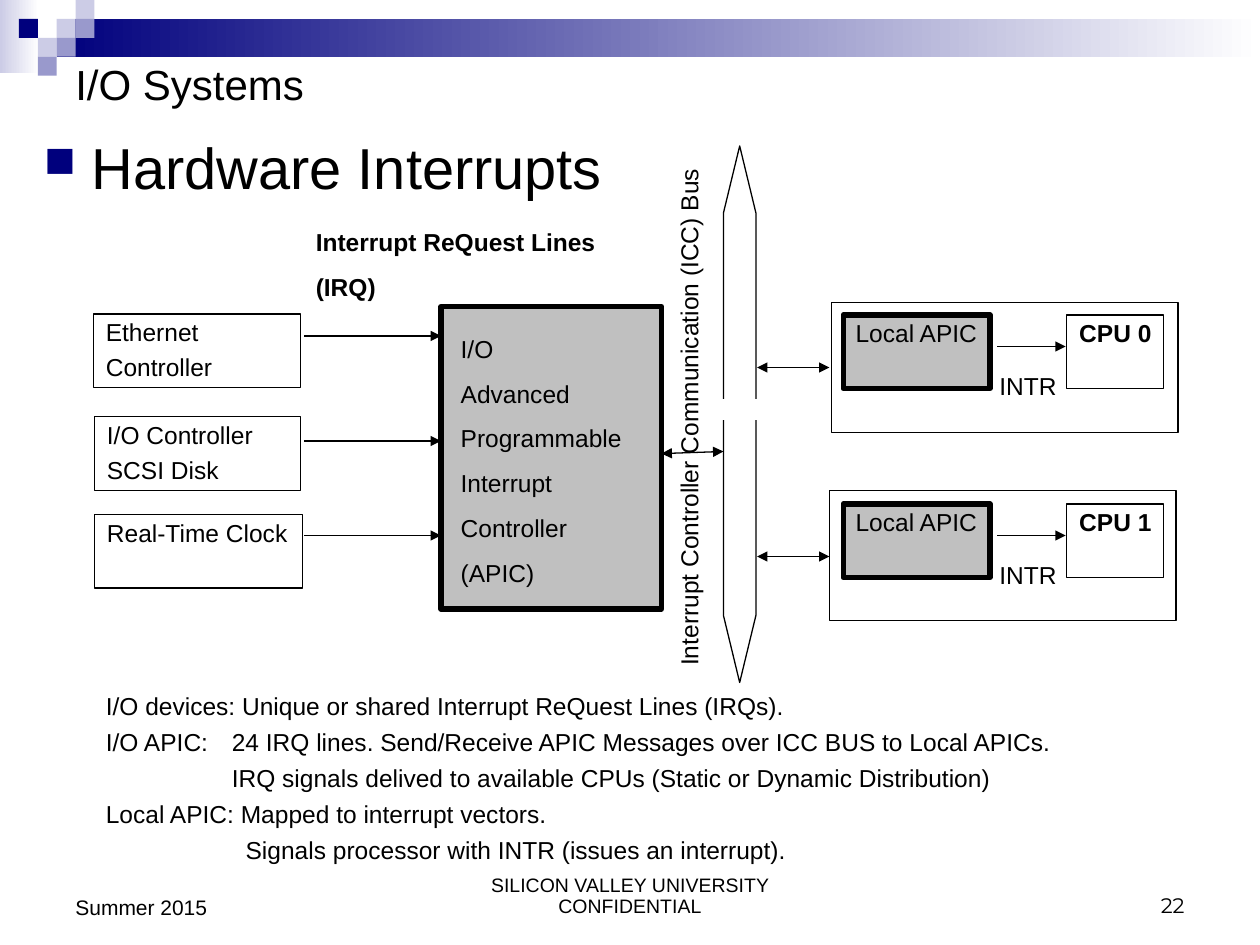
from lxml.etree import SubElement
from pptx import Presentation
from pptx.dml.color import RGBColor as RGB
from pptx.enum.shapes import MSO_CONNECTOR as CONN, MSO_SHAPE as SHAPE
from pptx.enum.text import MSO_ANCHOR as ANCHOR, PP_ALIGN as ALIGN
from pptx.oxml.ns import qn
from pptx.util import Inches, Pt

COLORS = {"ink": "000000", "paper": "FFFFFF", "navy": "00007D",
          "lilac": "CCCCE6", "violet": "9999CC", "gray": "C0C0C0"}
COLUMNS, ROWS = 120, 90
CELL = Inches(10) / COLUMNS
TIGHT = {"spacing": 0.65, "top": 0.1}


def color(name):
    """Return the named colour."""
    return RGB.from_string(COLORS[name])


def grid(*cells):
    """Turn grid cells into lengths."""
    return [round(c * CELL) for c in cells]


def style(s, fill=None, line=None, width=0.75):
    """Set the fill and outline of a shape and drop its shadow."""
    s.shadow.inherit = False
    if fill:
        s.fill.solid()
        s.fill.fore_color.rgb = color(fill)
    else:
        s.fill.background()
    if line:
        s.line.color.rgb = color(line)
        s.line.width = Pt(width)
    else:
        s.line.fill.background()


def write(s, lines, size=14, bold=False, font="Arial", align=ALIGN.LEFT,
          anchor=ANCHOR.TOP, spacing=None, top=0.05, indents=None):
    """Write one paragraph per line into a shape."""
    tf = s.text_frame
    tf.word_wrap = True
    tf.vertical_anchor = anchor
    tf.margin_left, tf.margin_top, tf.margin_bottom = Inches(0.1), Inches(top), Inches(0.05)
    tf.margin_right = Inches(0 if align == ALIGN.LEFT else 0.1)
    for i, text in enumerate(lines):
        p = tf.paragraphs[0] if i == 0 else tf.add_paragraph()
        p.alignment = align
        if i:
            p.space_before = Pt(8.8)
        if spacing:
            p.line_spacing = spacing
        if indents and indents[i]:
            p._p.get_or_add_pPr().set("marL", str(Inches(indents[i])))
        r = p.add_run()
        r.text = text
        r.font.size, r.font.name, r.font.bold = Pt(size), font, bold
        r.font.color.rgb = color("ink")
    return tf


def add_text(slide, cells, lines, **options):
    """Add a text box."""
    s = slide.shapes.add_textbox(*grid(*cells))
    write(s, lines, **options)
    return s


def add_box(slide, cells, lines=(), fill=None, line="ink", width=0.75, **options):
    """Add a rectangle with optional text."""
    s = slide.shapes.add_shape(SHAPE.RECTANGLE, *grid(*cells))
    style(s, fill, line, width)
    if lines:
        write(s, lines, **options)
    return s


def add_fade(slide, cells, start):
    """Add a rectangle that fades to white on its right."""
    s = add_box(slide, cells, line=None)
    s.fill.gradient()
    s.fill.gradient_angle = 180
    for stop, name in zip(s.fill.gradient_stops, ("paper", start)):
        stop.color.rgb = color(name)


def add_line(slide, cells, ends=("tailEnd",), line="ink", width=0.75):
    """Add a straight line with arrowheads at the given ends."""
    s = slide.shapes.add_connector(CONN.STRAIGHT, *grid(*cells))
    s.line.color.rgb = color(line)
    s.line.width = Pt(width)
    for end in ends:
        SubElement(s.line._get_or_add_ln(), qn(f"a:{end}"), type="triangle")
    SubElement(s._element.spPr, qn("a:effectLst"))


def add_bullet(p, char, name, percent):
    """Give a paragraph a hanging coloured bullet."""
    pPr = p._p.get_or_add_pPr()
    pPr.set("marL", str(Inches(0.38)))
    pPr.set("indent", str(-Inches(0.38)))
    clr = SubElement(pPr, qn("a:buClr"))
    SubElement(clr, qn("a:srgbClr"), val=COLORS[name])
    SubElement(pPr, qn("a:buSzPct"), val=str(percent * 1000))
    SubElement(pPr, qn("a:buChar"), char=char)


def add_header(slide):
    """Draw the fading band and its mosaic."""
    add_fade(slide, (0, 0, 3.7, 7), "lilac")
    add_fade(slide, (5.4, 1.8, 114.6, 3.6), "navy")
    mosaic = {"lilac": [(3, 1), (4, 0), (2, 2)],
              "violet": [(4, 1), (3, 2), (2, 3)], "navy": [(1, 1)]}
    for name, places in mosaic.items():
        for col, row in places:
            add_box(slide, (col * 1.8, row * 1.8, 1.8, 1.8), fill=name, line=None)


def add_footer(slide):
    """Write the date, the footer and the slide number."""
    add_text(slide, (41, 82, 38, 6), ["SILICON VALLEY UNIVERSITY CONFIDENTIAL"],
             size=11.1, align=ALIGN.CENTER, anchor=ANCHOR.BOTTOM, spacing=0.9)
    add_text(slide, (86, 82, 28, 6), ["22"], size=12, font="Montserrat",
             align=ALIGN.RIGHT, anchor=ANCHOR.BOTTOM)
    add_text(slide, (6, 82, 28, 6.2), ["Summer 2015"], size=12, anchor=ANCHOR.BOTTOM)


def add_devices(slide):
    """Draw the devices, their request lines and the I/O APIC."""
    devices = [((8.9, 29.9, 19.7, 7), ["Ethernet", "Controller"], 32),
               ((9, 39.7, 19.6, 7), ["I/O Controller", "SCSI Disk"], 42),
               ((9, 49, 19.8, 7), ["Real-Time Clock"], 51)]
    add_box(slide, (42, 29.2, 21, 28.8), fill="gray", width=3)
    add_text(slide, (42.7, 31.2, 17.8, 25.3),
             ["I/O", "Advanced", "Programmable", "Interrupt", "Controller", "(APIC)"])
    for cells, lines, row in devices:
        add_box(slide, cells, lines, **TIGHT)
        add_line(slide, (29, row, 42, row))
    add_text(slide, (28.9, 21, 29, 8.3), ["Interrupt ReQuest Lines", "(IRQ)"], bold=True)


def add_bus(slide):
    """Draw the two halves of the bus, its gap and its label."""
    left, middle, right, gap = 68.9, 70.45, 72, 39.5
    for shoulder, tip in ((20.3, 13.9), (58.6, 65)):
        points = [(left, shoulder), (middle, tip), (right, shoulder), (right, gap)]
        build = slide.shapes.build_freeform(*grid(left, gap))
        build.add_line_segments([grid(*point) for point in points], close=True)
        style(build.convert_to_shape(), line="ink")
    add_line(slide, (68, 39, 73, 39), ends=(), line="paper", width=12)
    add_line(slide, (63, 43.2, 68.9, 43), ends=("headEnd", "tailEnd"))
    s = add_text(slide, (40.8, 37.7, 49.7, 4.1),
                 ["Interrupt Controller Communication (ICC) Bus"])
    s.rotation = 270


def add_processor(slide, name, row, frame):
    """Draw a processor with its local APIC inside a frame."""
    add_box(slide, (*frame, 33, 12.4))
    add_box(slide, (80.3, row, 14, 7), ["Local APIC"], fill="gray", width=3, **TIGHT)
    add_box(slide, (101.6, row, 9.2, 7), [name], bold=True, **TIGHT)
    add_line(slide, (95, row + 3, 101.5, row + 3))
    add_line(slide, (72.1, row + 5, 79, row + 5), ends=("headEnd", "tailEnd"))
    add_text(slide, (94, row + 5, 7.8, 3.6), ["INTR"], **TIGHT)


def main():
    """Build the slide and save it."""
    prs = Presentation()
    prs.slide_width, prs.slide_height = grid(COLUMNS, ROWS)
    slide = prs.slides.add_slide(prs.slide_layouts[6])
    add_header(slide)
    add_footer(slide)
    add_text(slide, (6, 6, 108, 4), ["I/O Systems"], size=24, anchor=ANCHOR.MIDDLE)
    s = add_text(slide, (3, 12, 114, 73), ["Hardware Interrupts"], size=33)
    add_bullet(s.text_frame.paragraphs[0], "■", "navy", 75)
    add_devices(slide)
    add_bus(slide)
    add_processor(slide, "CPU 0", 30, (79.2, 28.8))
    add_processor(slide, "CPU 1", 48, (79, 46.7))
    add_text(slide, (8.9, 66, 92.6, 16.9),
             ["I/O devices: Unique or shared Interrupt ReQuest Lines (IRQs).",
              "I/O APIC:\t24 IRQ lines. Send/Receive APIC Messages over ICC BUS to Local APICs.",
              "IRQ signals delived to available CPUs (Static or Dynamic Distribution)",
              "Local APIC: Mapped to interrupt vectors.",
              "Signals processor with INTR (issues an interrupt)."],
             spacing=0.7, indents=[0, 0, 1, 0, 1.11])
    prs.save("out.pptx")


if __name__ == "__main__":
    main()
